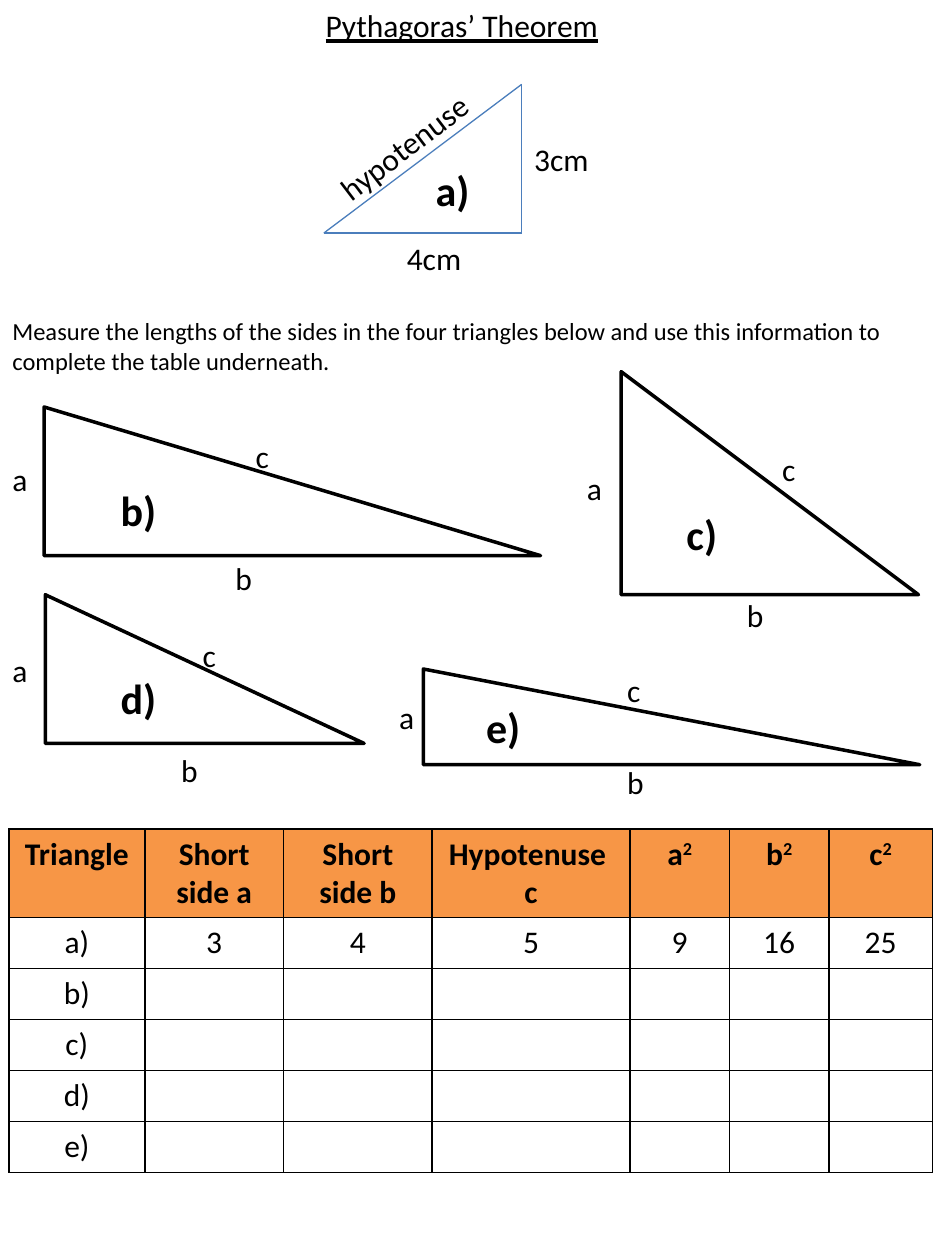
from lxml import etree
from pptx import Presentation
from pptx.dml.color import RGBColor
from pptx.enum import shapes, text
from pptx.oxml import parse_xml
from pptx.oxml.ns import nsdecls, qn
from pptx.util import Inches, Pt

BLACK = RGBColor(0, 0, 0)
WHITE = RGBColor(0xFF, 0xFF, 0xFF)
BLUE = RGBColor(0x4B, 0x7E, 0xBC)
ORANGE = RGBColor(0xF7, 0x96, 0x46)
FONT = "Calibri"

TITLE = "Pythagoras’ Theorem"
TASK = ("Measure the lengths of the sides in the four triangles below and use "
        "this information to complete the table underneath.")

EXAMPLE_CORNERS = [(4.14, 0.67), (4.14, 1.85), (2.57, 1.85)]
# text, left, top, width, rotation
EXAMPLE_LABELS = [
    ("3cm", 4.14, 1.06, 1.18, 0),
    ("4cm", 3.13, 1.85, 1.18, 0),
    ("hypotenuse", 2.47, 0.85, 1.77, 322.7),
]

# left, top, width, height of each triangle, then left and top of its labels
TRIANGLES = [
    ((0.35, 3.23, 3.94, 1.18),
     {"b)": (0.86, 3.8), "a": (0, 3.6), "b": (1.77, 4.39), "c": (1.93, 3.42)}),
    ((4.93, 2.95, 2.36, 1.77),
     {"c)": (5.35, 3.99), "a": (4.56, 3.67), "b": (5.83, 4.68), "c": (6.11, 3.52)}),
    ((0.36, 4.72, 2.53, 1.18),
     {"d)": (0.86, 5.29), "a": (0, 5.12), "b": (1.34, 5.91), "c": (1.51, 5)}),
    ((3.36, 5.31, 3.94, 0.76),
     {"e)": (3.76, 5.52), "a": (3.07, 5.49), "b": (4.88, 6.01), "c": (4.88, 5.28)}),
]

# "^" starts a superscript
ROWS = [
    ["Triangle", "Short side a", "Short side b", "Hypotenuse \nc", "a^2", "b^2", "c^2"],
    ["a)", "3", "4", "5", "9", "16", "25"],
    ["b)"], ["c)"], ["d)"], ["e)"],
]
COL_WIDTHS = [1.08, 1.1, 1.18, 1.57, 0.79, 0.79, 0.82]
HEADER_HEIGHT, ROW_HEIGHT = 0.7, 0.405


def style(font, size, bold=False):
    font.name, font.size, font.bold = FONT, Pt(size), bold
    font.color.rgb = BLACK


def add_label(s, words, left, top, width=0.76, height=0.4, size=18, bold=False):
    sp = s.shapes.add_textbox(*map(Inches, (left, top, width, height)))
    tf = sp.text_frame
    tf.word_wrap = True
    tf.text = words
    style(tf.paragraphs[0].runs[0].font, size, bold)
    return sp


def add_name(s, words, left, top):
    add_label(s, words, left, top, height=0.5, size=24, bold=True)


def add_example(s):
    ends = EXAMPLE_CORNERS[1:] + EXAMPLE_CORNERS[:1]
    for start, end in zip(EXAMPLE_CORNERS, ends):
        line = s.shapes.add_connector(shapes.MSO_CONNECTOR.STRAIGHT,
                                      *map(Inches, start + end))
        line.line.color.rgb = BLUE
        line.line.width = Pt(0.75)
        etree.SubElement(line._element.spPr, qn("a:effectLst"))
    for words, left, top, width, rotation in EXAMPLE_LABELS:
        add_label(s, words, left, top, width).rotation = rotation
    add_name(s, "a)", 3.36, 1.26)


def add_triangle(s, box):
    sp = s.shapes.add_shape(shapes.MSO_SHAPE.RIGHT_TRIANGLE, *map(Inches, box))
    sp.shadow.inherit = False
    sp.fill.solid()
    sp.fill.fore_color.rgb = WHITE
    sp.line.color.rgb = BLACK
    sp.line.width = Pt(2)


def add_borders(cell):
    tc_pr = cell._tc.get_or_add_tcPr()
    for side in ("lnL", "lnR", "lnT", "lnB"):
        tc_pr.append(parse_xml(
            f'<a:{side} {nsdecls("a")} w="12700"><a:solidFill>'
            f'<a:srgbClr val="{BLACK}"/></a:solidFill></a:{side}>'))


def fill_cell(cell, words, header):
    add_borders(cell)
    cell.fill.solid()
    cell.fill.fore_color.rgb = ORANGE if header else WHITE
    base, _, power = words.partition("^")
    cell.text = base
    for p in cell.text_frame.paragraphs:
        p.alignment = text.PP_ALIGN.CENTER
        style(p.font, 18, header)
        for r in p.runs:
            style(r.font, 18, header)
    if power:
        r = p.add_run()
        r.text = power
        style(r.font, 18, header)
        r.font._element.set("baseline", "30000")


def add_results_table(s):
    heights = [HEADER_HEIGHT] + [ROW_HEIGHT] * (len(ROWS) - 1)
    table = s.shapes.add_table(
        len(ROWS), len(COL_WIDTHS), Inches(0.07), Inches(6.58),
        Inches(sum(COL_WIDTHS)), Inches(sum(heights))).table
    table.first_row = table.horz_banding = False
    for column, width in zip(table.columns, COL_WIDTHS):
        column.width = Inches(width)
    for i, (row, height) in enumerate(zip(table.rows, heights)):
        row.height = Inches(height)
        for j, cell in enumerate(row.cells):
            words = ROWS[i][j] if j < len(ROWS[i]) else ""
            fill_cell(cell, words, header=i == 0)


def main():
    prs = Presentation()
    prs.slide_width, prs.slide_height = Inches(7.5), Inches(10)
    s = prs.slides.add_slide(prs.slide_layouts[6])

    p = add_label(s, TITLE, 1.62, 0, 4.09).text_frame.paragraphs[0]
    p.alignment = text.PP_ALIGN.CENTER
    p.runs[0].font.underline = True
    add_example(s)
    add_label(s, TASK, 0, 2.46, 7.5, 0.57, size=14)
    for box, _ in TRIANGLES:
        add_triangle(s, box)
    add_results_table(s)
    for _, labels in TRIANGLES:
        for words, (left, top) in labels.items():
            add = add_name if words.endswith(")") else add_label
            add(s, words, left, top)

    prs.save("out.pptx")


if __name__ == "__main__":
    main()
